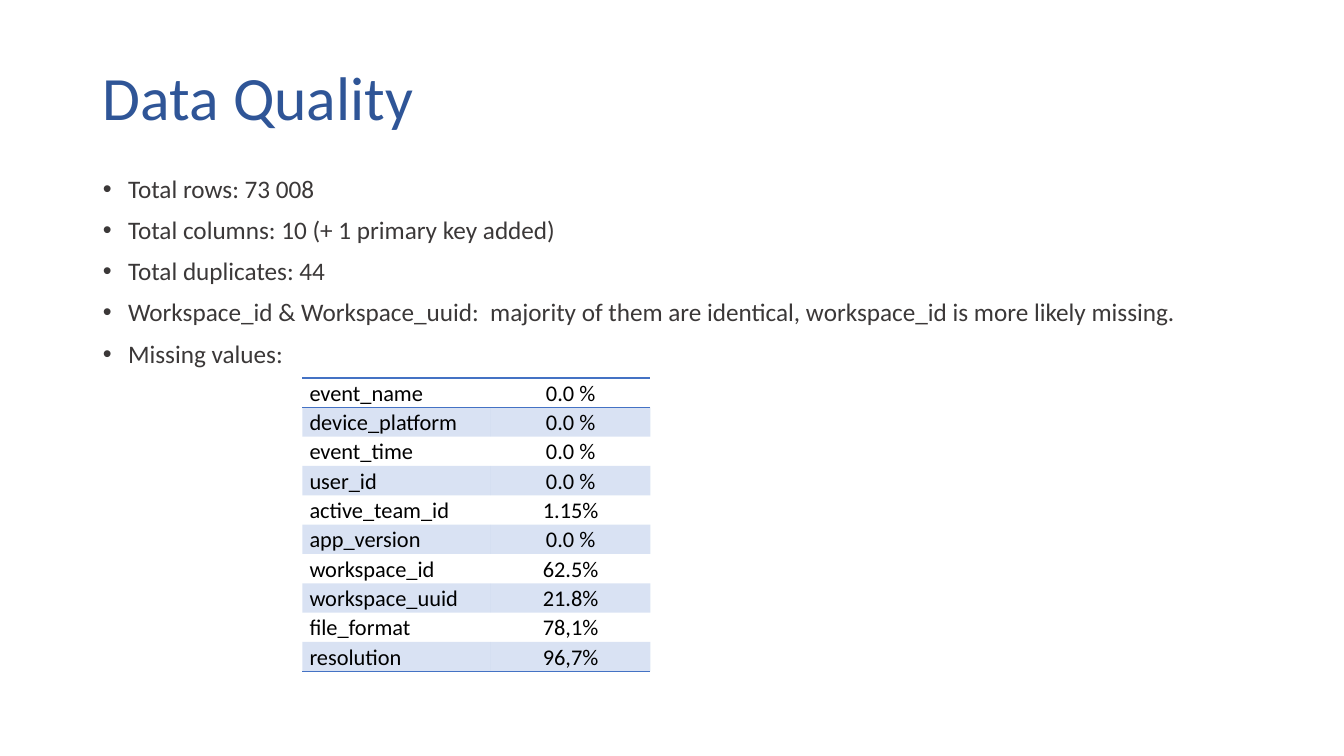
import pptx
import pptx.util
import pptx.dml.color
import pptx.enum.text
import pptx.oxml
import pptx.oxml.ns
from pptx.util import Inches

ALIGN = pptx.enum.text.PP_ALIGN
ANCHOR = pptx.enum.text.MSO_ANCHOR
NAVY, GRAY, BLACK, BLUE = "2F5597", "3B3838", "000000", "4472C4"
NO_STYLE = "{2D5ABB26-0587-4C30-8999-92F81FD0307C}"


def color(value):
    return pptx.dml.color.RGBColor.from_string(value)


def add_text(para, text, size, ink):
    span = para.add_run()
    span.text = text
    span.font.name = "Calibri"
    span.font.size = pptx.util.Pt(size)
    span.font.color.rgb = color(ink)


deck = pptx.Presentation()
deck.slide_width = Inches(13.33)
deck.slide_height = Inches(7.5)
page = deck.slides.add_slide(deck.slide_layouts[1])

title = page.shapes.title
body = page.placeholders[1]
for box, top, height, anchor in (
    (title, 0.4, 1.2, ANCHOR.MIDDLE),
    (body, 1.7, 4.96, ANCHOR.TOP),
):
    box.left, box.top = Inches(0.92), Inches(top)
    box.width, box.height = Inches(11.5), Inches(height)
    box.text_frame.word_wrap = True
    box.text_frame.auto_size = pptx.enum.text.MSO_AUTO_SIZE.NONE
    box.text_frame.vertical_anchor = anchor

para = title.text_frame.paragraphs[0]
para.alignment = ALIGN.LEFT
para.line_spacing = 0.9
add_text(para, "Data Quality", 44, NAVY)

facts = [
    "Total rows: 73 008",
    "Total columns: 10 (+ 1 primary key added)",
    "Total duplicates: 44",
    "Workspace_id & Workspace_uuid:  majority of them are identical, workspace_id is more likely missing.",
    "Missing values:",
]
for index, fact in enumerate(facts):
    para = body.text_frame.add_paragraph() if index else body.text_frame.paragraphs[0]
    para.line_spacing = 0.9
    para.space_before = pptx.util.Pt(10)
    properties = para._p.get_or_add_pPr()
    properties.set("marL", str(Inches(0.25)))
    properties.set("indent", str(Inches(-0.25)))
    bullet = pptx.oxml.ns.qn("a:buChar")
    properties.makeelement(bullet)
    properties.append(properties.makeelement(bullet, {"char": "•"}))
    add_text(para, fact, 18, GRAY)

missing = [
    ("event_name", "0.0 %"),
    ("device_platform", "0.0 %"),
    ("event_time", "0.0 %"),
    ("user_id", "0.0 %"),
    ("active_team_id", "1.15%"),
    ("app_version", "0.0 %"),
    ("workspace_id", "62.5%"),
    ("workspace_uuid", "21.8%"),
    ("file_format", "78,1%"),
    ("resolution", "96,7%"),
]
last = len(missing) - 1
frame = page.shapes.add_table(
    len(missing), 2, Inches(3), Inches(3.75), Inches(3.45), Inches(2.81)
)
table = frame.table
table.first_row = False
table.horz_banding = False
table._tbl.tblPr.find(pptx.oxml.ns.qn("a:tableStyleId")).text = NO_STYLE
table.columns[0].width = Inches(1.87)
table.columns[1].width = Inches(1.58)

for row, values in enumerate(missing):
    table.rows[row].height = Inches(0.28)
    edges = {0: ("lnT", "lnB"), last: ("lnB",)}.get(row, ())
    for column, value in enumerate(values):
        cell = table.cell(row, column)
        cell.margin_left = cell.margin_right = Inches(0.07)
        cell.margin_top = cell.margin_bottom = 0
        para = cell.text_frame.paragraphs[0]
        para.alignment = ALIGN.CENTER if column else ALIGN.LEFT
        para.line_spacing = 1.07
        para.space_after = pptx.util.Pt(8)
        add_text(para, value, 16, BLACK)

        properties = cell._tc.get_or_add_tcPr()
        for edge in edges:
            properties.append(pptx.oxml.parse_xml(
                f'<a:{edge} {pptx.oxml.ns.nsdecls("a")} w="12700"><a:solidFill>'
                f'<a:srgbClr val="{BLUE}"/></a:solidFill></a:{edge}>'
            ))
        if row % 2:
            cell.fill.solid()
            cell.fill.fore_color.rgb = color(BLUE)
            tint = properties.find(pptx.oxml.ns.qn("a:solidFill"))[0]
            tint.append(tint.makeelement(pptx.oxml.ns.qn("a:alpha"), {"val": "20000"}))
        else:
            cell.fill.background()

deck.save("out.pptx")
